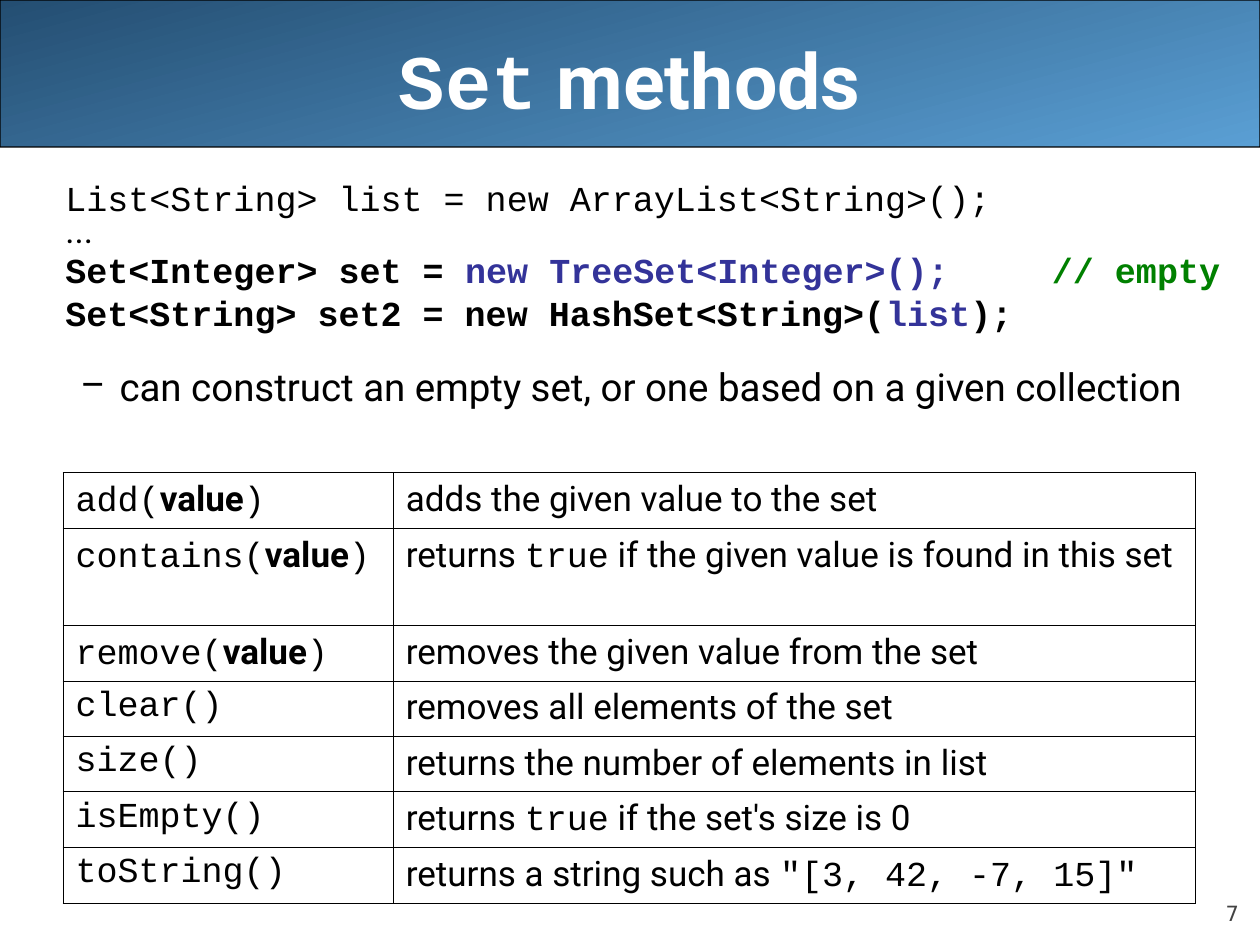
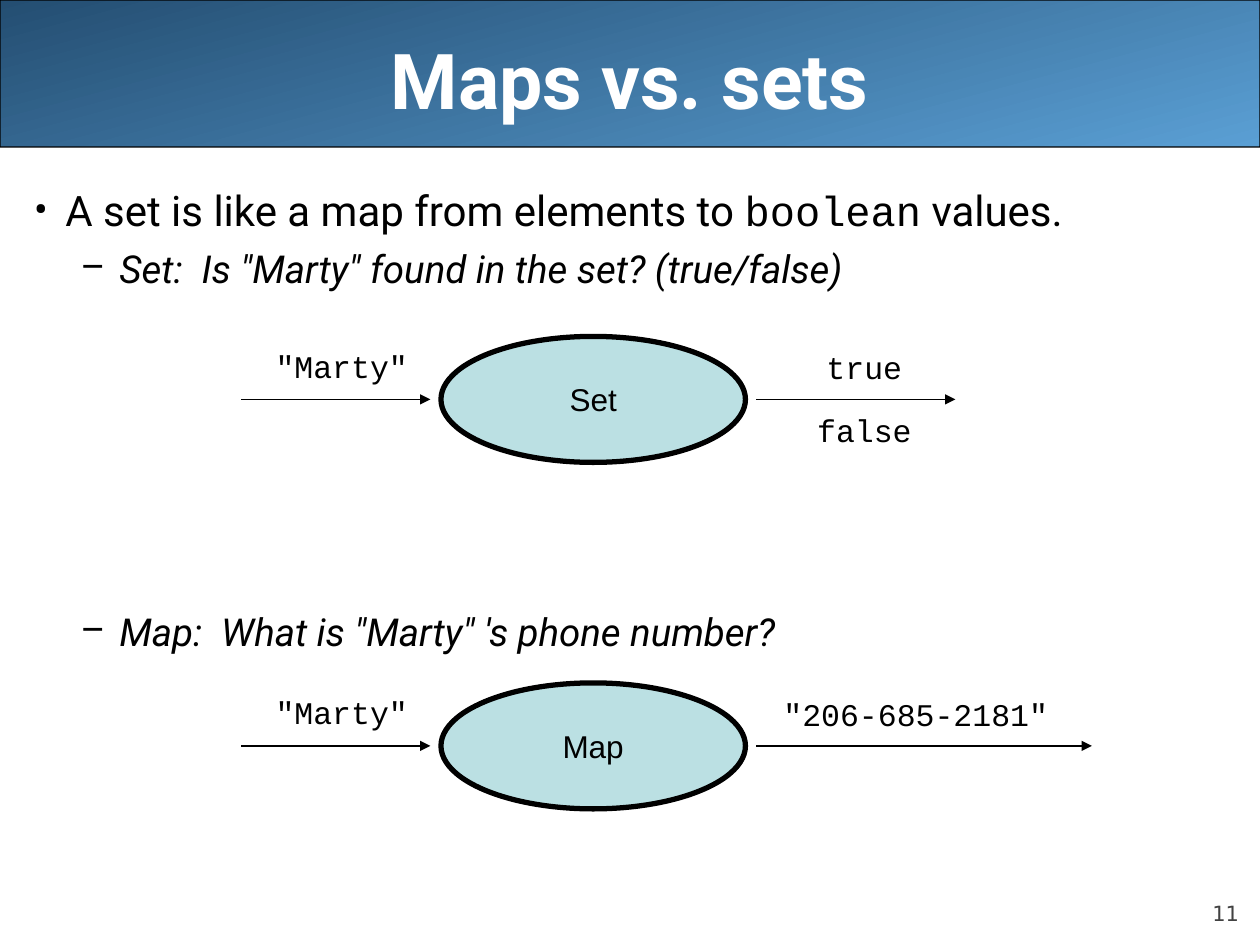
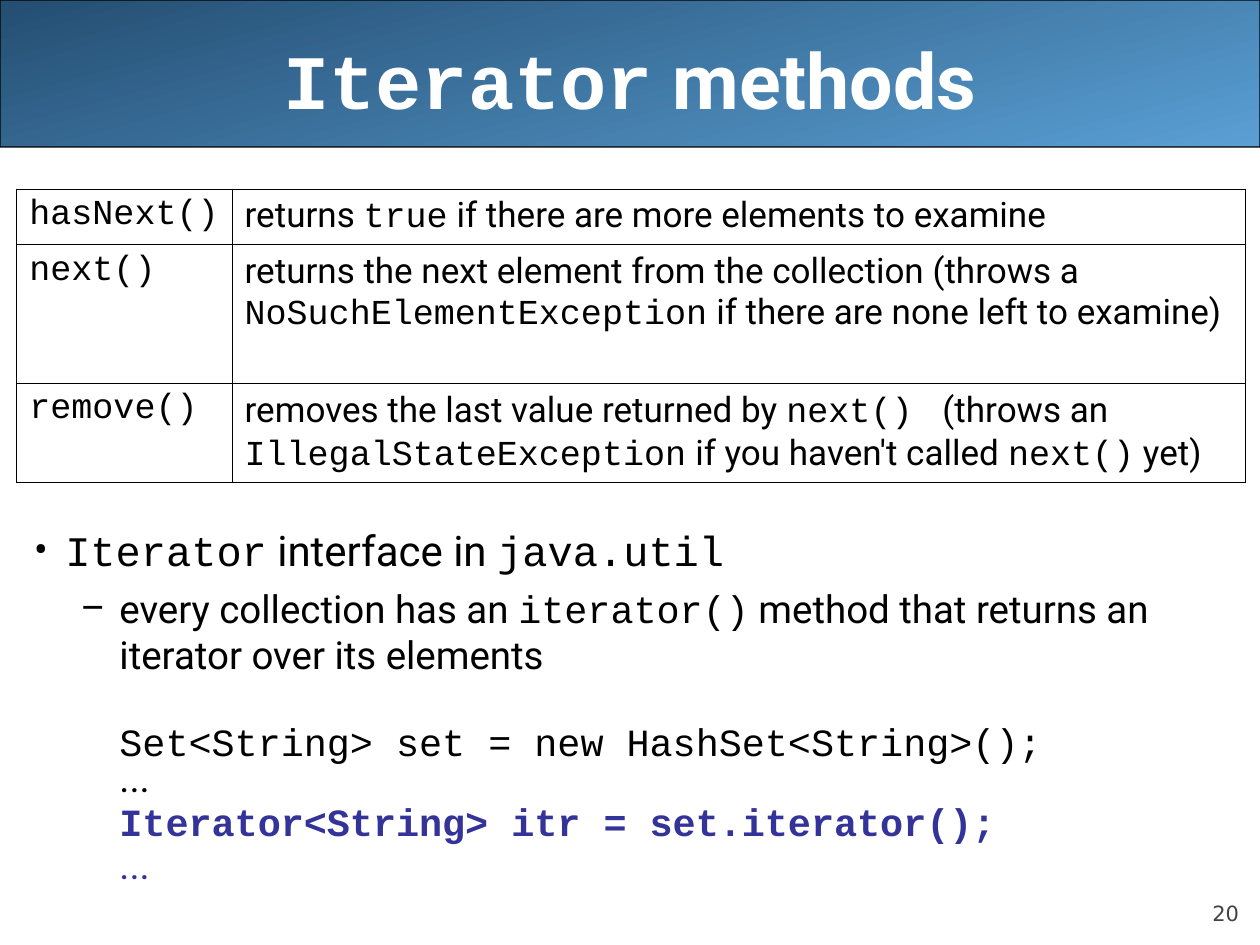
from lxml import etree
from pptx import Presentation
from pptx.dml.color import RGBColor
from pptx.enum.shapes import MSO_CONNECTOR, MSO_SHAPE
from pptx.enum.text import MSO_ANCHOR, MSO_AUTO_SIZE, PP_ALIGN
from pptx.oxml.ns import qn
from pptx.util import Inches, Pt

ROUNDED, ELLIPSE = MSO_SHAPE.ROUNDED_RECTANGLE, MSO_SHAPE.OVAL
STRAIGHT = MSO_CONNECTOR.STRAIGHT
LEFT, CENTER, RIGHT = PP_ALIGN.LEFT, PP_ALIGN.CENTER, PP_ALIGN.RIGHT
TOP, MIDDLE, BOTTOM = MSO_ANCHOR.TOP, MSO_ANCHOR.MIDDLE, MSO_ANCHOR.BOTTOM
FIXED = MSO_AUTO_SIZE.NONE

COLUMNS, ROWS = 120, 90
WIDTH, HEIGHT = Inches(10), Inches(7.5)
SANS, MONO, LABEL, NUMBER = "Roboto", "Courier New", "Arial", "DejaVu Sans"
COLORS = {
    "ink": "000000",
    "white": "FFFFFF",
    "band_dark": "244E72",
    "band_light": "5A9FD4",
    "number": "424242",
    "oval": "BBE0E3",
    "keyword": "333399",
    "comment": "008000",
}
BULLET = {"size": 24, "margin": 0.25, "hang": 0.25, "before": 6, "bullet": "•"}
DASH = {"size": 22, "margin": 0.68, "hang": 0.31, "before": 5.5, "bullet": "–"}


def rgb(name):
    """Return the named colour."""
    return RGBColor.from_string(COLORS[name])


def col(count):
    """Return the width of a number of grid columns."""
    return round(WIDTH * count / COLUMNS)


def row(count):
    """Return the height of a number of grid rows."""
    return round(HEIGHT * count / ROWS)


def area(left, top, width, height):
    """Turn grid units into a position and a size."""
    return col(left), row(top), col(width), row(height)


def child(parent, tag, **attributes):
    """Append a DrawingML element."""
    element = etree.SubElement(parent, qn(tag))
    for key, value in attributes.items():
        element.set(key, str(value))
    return element


def mono(text, **look):
    """Describe a run of program code."""
    return text, {"font": MONO, **look}


def write(paragraph, text, size=20, font=SANS, color="ink", bold=False, italic=False,
          align=LEFT, before=0, spacing=None, margin=0, hang=0, bullet=None):
    """Fill a paragraph from a string or a list of runs."""
    paragraph.alignment = align
    paragraph.space_before = Pt(before)
    if spacing:
        paragraph.line_spacing = spacing
    properties = paragraph._p.get_or_add_pPr()
    properties.set("marL", str(Inches(margin)))
    properties.set("indent", str(-Inches(hang)))
    if bullet:
        child(child(properties, "a:buClr"), "a:srgbClr", val=COLORS["ink"])
        child(properties, "a:buFont", typeface=SANS)
        child(properties, "a:buChar", char=bullet)
    base = {"font": font, "color": color, "bold": bold}
    for part in [text] if isinstance(text, str) else text:
        words, own = (part, {}) if isinstance(part, str) else part
        look = {**base, **own}
        run = paragraph.add_run()
        run.text = words
        run.font.name, run.font.size = look["font"], Pt(size)
        run.font.bold, run.font.italic = look["bold"], italic
        run.font.color.rgb = rgb(look["color"])


class Deck:
    """Holds the shared style and the current slide."""

    def __init__(self):
        """Start an empty presentation."""
        self.file = Presentation()
        self.file.slide_width, self.file.slide_height = WIDTH, HEIGHT
        self.slide = None

    def page(self, title, number):
        """Add a slide with its band, title and number."""
        self.slide = self.file.slides.add_slide(self.file.slide_layouts[5])
        self.band()
        heading = self.slide.shapes.title
        heading.left, heading.top, heading.width, heading.height = area(6, 0, 108, 15)
        self.frame(heading, MIDDLE)
        write(heading.text_frame.paragraphs[0], title, size=44, color="white",
              bold=True, align=CENTER)
        self.text((108, 83.4, 10, 4.8), [(number, {
            "size": 12, "font": NUMBER, "color": "number", "align": RIGHT, "before": 5,
        })], anchor=BOTTOM, inset=0)

    def frame(self, shape, anchor=TOP, wrap=True, inset=None):
        """Set how a shape holds its text."""
        frame = shape.text_frame
        frame.auto_size, frame.word_wrap, frame.vertical_anchor = FIXED, wrap, anchor
        if inset is not None:
            frame.margin_left = frame.margin_right = inset
            frame.margin_top = frame.margin_bottom = inset
        return frame

    def band(self):
        """Draw the gradient band behind the title."""
        band = self.outline(ROUNDED, (0, 0, COLUMNS, 14), 0.75)
        band.adjustments[0] = 0.001
        band.fill.gradient()
        band.fill.gradient_angle = 285
        for stop, name in zip(band.fill.gradient_stops, ("band_dark", "band_light")):
            stop.color.rgb = rgb(name)
        self.slide.shapes._spTree.insert(2, band._element)

    def outline(self, kind, place, weight):
        """Add a preset shape with a dark outline."""
        shape = self.slide.shapes.add_shape(kind, *area(*place))
        shape.shadow.inherit = False
        shape.line.color.rgb = rgb("ink")
        shape.line.width = Pt(weight)
        return shape

    def text(self, place, paragraphs, **layout):
        """Add a text box from pairs of text and format."""
        box = self.slide.shapes.add_textbox(*area(*place))
        frame = self.frame(box, **layout)
        for index, (text, look) in enumerate(paragraphs):
            paragraph = frame.add_paragraph() if index else frame.paragraphs[0]
            write(paragraph, text, **look)

    def oval(self, place, name):
        """Add a named oval."""
        shape = self.outline(ELLIPSE, place, 3)
        shape.fill.solid()
        shape.fill.fore_color.rgb = rgb("oval")
        frame = self.frame(shape, MIDDLE, wrap=False)
        write(frame.paragraphs[0], name, size=18, font=LABEL, align=CENTER)

    def arrow(self, start, end, level):
        """Add a level arrow."""
        line = self.slide.shapes.add_connector(
            STRAIGHT, col(start), row(level), col(end), row(level))
        line.line.color.rgb = rgb("ink")
        line.line.width = Pt(0.75)
        child(line.line._get_or_add_ln(), "a:tailEnd", type="triangle")
        child(line._element.spPr, "a:effectLst")

    def label(self, middle, top, value):
        """Add a value whose box is as wide as its letters."""
        width = 2.4 + 1.8 * len(value)
        self.text((middle - width / 2, top, width, 4.8), [
            (value, {"size": 18, "font": MONO, "align": RIGHT})], wrap=False)

    def lookup(self, top, name, result_end, results):
        """Draw a key going into a collection and its results coming out."""
        level = top + 6
        self.oval((42, top, 29, 12), name)
        self.arrow(23, 41, level)
        self.label(32.52, top + 0.42, '"Marty"')
        self.arrow(72, result_end, level)
        for index, (middle, value) in enumerate(results):
            self.label(middle, top + 0.52 + 6 * index, value)

    def table(self, left, top, widths, heights, methods):
        """Add a ruled table of methods and their meaning."""
        grid = self.slide.shapes.add_table(
            len(methods), len(widths), *area(left, top, sum(widths), sum(heights))).table
        grid.first_row = grid.horz_banding = False
        for column, width in zip(grid.columns, widths):
            column.width = col(width)
        for line, height, texts in zip(grid.rows, heights, methods):
            line.height = row(height)
            for cell, text in zip(line.cells, texts):
                write(cell.text_frame.paragraphs[0], text)
                for side in ("a:lnL", "a:lnR", "a:lnT", "a:lnB"):
                    border = child(cell._tc.get_or_add_tcPr(), side, w=Pt(0.45))
                    child(child(border, "a:solidFill"), "a:srgbClr", val=COLORS["ink"])
                cell.fill.background()


def set_methods(deck):
    """Build the slide on set methods."""
    deck.page([mono("Set"), " methods"], "7")
    code = {"font": MONO, "before": 5, "spacing": 0.8}
    strong = {**code, "bold": True}
    deck.text((5.04, 17, 114.96, 27), [
        ("List<String> list = new ArrayList<String>();", code),
        ("...", {"before": 5, "spacing": 0.5}),
        (["Set<Integer> set = ", mono("new TreeSet<Integer>();", color="keyword")], strong),
        (["Set<String> set2 = new HashSet<String>(", mono("list", color="keyword"), ");"],
         strong),
        ("can construct an empty set, or one based on a given collection",
         {**DASH, "margin": 0.43, "before": 17}),
    ])
    deck.text((99, 23.86, 20, 4.8), [("// empty", {**strong, "color": "comment"})],
              wrap=False)
    value = ("value", {"bold": True})
    deck.table(6, 45, (31.45, 76.4), (5.28, 9.24) + (5.28,) * 5, [
        ([mono("add("), value, mono(")")], "adds the given value to the set"),
        ([mono("contains("), value, mono(")")],
         ["returns ", mono("true"), " if the given value is found in this set"]),
        ([mono("remove("), value, mono(")")], "removes the given value from the set"),
        ([mono("clear()")], "removes all elements of the set"),
        ([mono("size()")], "returns the number of elements in list"),
        ([mono("isEmpty()")], ["returns ", mono("true"), " if the set's size is 0"]),
        ([mono("toString()")],
         ["returns a string such as ", mono('"[3, 42, -7, 15]"')]),
    ])


def maps_and_sets(deck):
    """Build the slide that compares maps with sets."""
    deck.page("Maps vs. sets", "11")
    question = {**DASH, "italic": True}
    deck.text((2.04, 17, 117.96, 68), [
        (["A set is like a map from elements to ", mono("boolean"), " values."], BULLET),
        ('Set:  Is "Marty" found in the set? (true/false)', question),
        ('Map:  What is "Marty" \'s phone number?', {**question, "before": 181}),
    ])
    deck.lookup(32.04, "Set", 91, [(82.3, "true"), (82.3, "false")])
    deck.lookup(65.04, "Map", 104, [(87.2, '"206-685-2181"')])


def iterator_methods(deck):
    """Build the slide on iterator methods."""
    deck.page([mono("Iterator"), " methods"], "20")
    code = {"size": 22, "font": MONO, "margin": 0.68, "before": 5.5, "spacing": 0.8}
    dots = {**code, "font": SANS}
    deck.text((2.04, 49.4, 117.96, 35.6), [
        ([mono("Iterator"), " interface in ", mono("java.util")], BULLET),
        (["every collection has an ", mono("iterator()"),
          " method that returns an iterator over its elements"], DASH),
        ("Set<String> set = new HashSet<String>();", {**code, "before": 28.6}),
        ("...", {**dots, "spacing": 0.5}),
        ("Iterator<String> itr = set.iterator();",
         {**code, "color": "keyword", "bold": True}),
        ("...", {**dots, "color": "keyword", "spacing": 0.7}),
    ])
    deck.table(1.6, 18, (20.5, 96.5), (5.28, 13.2, 9.24), [
        ([mono("hasNext()")],
         ["returns ", mono("true"), " if there are more elements to examine"]),
        ([mono("next()")],
         ["returns the next element from the collection (throws a ",
          mono("NoSuchElementException"), " if there are none left to examine)"]),
        ([mono("remove()")],
         ["removes the last value returned by ", mono("next() "), " (throws an ",
          mono("IllegalStateException"), " if you haven't called ", mono("next()"),
          " yet)"]),
    ])


def main():
    """Build and save the slides."""
    deck = Deck()
    for build in (set_methods, maps_and_sets, iterator_methods):
        build(deck)
    deck.file.save("out.pptx")


if __name__ == "__main__":
    main()
